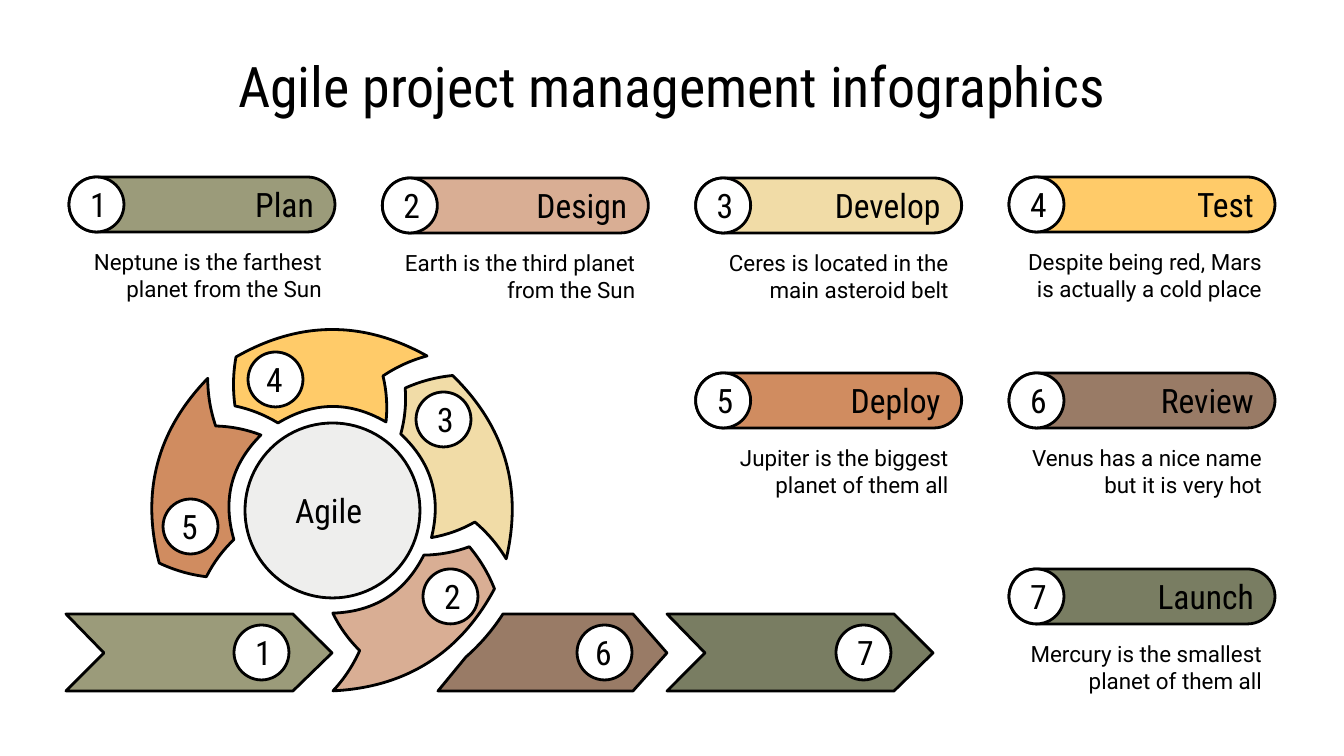
from math import cos, hypot, radians, sin

from lxml import etree
from pptx import Presentation
from pptx.dml.color import RGBColor
from pptx.enum.shapes import MSO_SHAPE
from pptx.enum.text import MSO_ANCHOR, PP_ALIGN
from pptx.oxml.ns import qn
from pptx.util import Pt

OVAL, PILL = MSO_SHAPE.OVAL, MSO_SHAPE.ROUNDED_RECTANGLE
CENTER, RIGHT = PP_ALIGN.CENTER, PP_ALIGN.RIGHT
TOP, MIDDLE = MSO_ANCHOR.TOP, MSO_ANCHOR.MIDDLE
PX = 914400 / 134.4
HEAD_FONT, BODY_FONT = "Roboto Condensed", "Roboto"
BLACK, WHITE, GREY = "000000", "FFFFFF", "EEEEED"

TITLE = "Agile project management infographics"
HUB_TEXT = "Agile "

# name, description, colour, (column, row) of the card,
# left and top of the badge, left inset of the badge
STEPS = [
    ("Plan", "Neptune is the farthest planet from the Sun", "9B9B7A", (0, 0), (234, 625), 13),
    ("Design", "Earth is the third planet from the Sun", "D9AE94", (1, 0), (423, 569), 13),
    ("Develop", "Ceres is located in the main asteroid belt", "F1DCA7", (2, 0), (416, 392), 13),
    ("Test", "Despite being red, Mars is actually a cold place", "FFCB69", (3, 0), (248, 352), 10),
    ("Deploy", "Jupiter is the biggest planet of them all", "D08C60", (2, 1), (163, 499), 10),
    ("Review", "Venus has a nice name but it is very hot", "997B66", (3, 1), (577, 625), 10),
    ("Launch", "Mercury is the smallest planet of them all", "797D62", (3, 2), (836, 625), 13),
]

# Outlines: x, y and the bulge of the edge that leaves the point
RING_ARROW = [(427, 356, 27), (236, 357, 2), (235, 406, -2),
              (278, 423, -16), (386, 422, 2), (383, 376, -2)]
RING_TURNS = {"Design": 148, "Develop": 74, "Test": 0, "Deploy": -75}
CHEVRON = [(66, 614, 0), (104, 653, 0), (66, 691, 0),
           (293, 691, 0), (332, 653, 0), (293, 614, 0)]
CUT_ARROW = [(503, 614, -2), (466, 657, 0), (438, 691, 0),
             (633, 691, 0), (667, 653, 0), (633, 614, 0)]
LAUNCH_SHIFT = 601

RING_X, RING_Y = 332, 510
HUB_X, HUB_Y, HUB_D = 245, 423, 175
FIRST_X, LAST_X, COLUMNS = 69, 1009, 4
CARD_DX = (LAST_X - FIRST_X) / (COLUMNS - 1)
CARD_Y, CARD_DY = 177, 196
CARD_DROP = {"Design": 1, "Develop": 1}
CARD_W, PILL_H = 266, 55
TEXT_DY, TEXT_H = 65, 67
INSET = 13

prs = Presentation()
prs.slide_width, prs.slide_height = round(1344 * PX), round(756 * PX)
slide = prs.slides.add_slide(prs.slide_layouts[6])


def color(value):
    return RGBColor.from_string(value)


def emu(*lengths):
    return [round(v * PX) for v in lengths]


def paint(s, fill):
    s.shadow.inherit = False
    s.fill.solid()
    s.fill.fore_color.rgb = color(fill)
    s.line.color.rgb = color(BLACK)
    s.line.width = Pt(1.5)


def write(s, text, size=18, font=HEAD_FONT, align=CENTER, anchor=MIDDLE, left=INSET):
    tf = s.text_frame
    margins = dict(zip(("margin_left", "margin_top", "margin_right", "margin_bottom"),
                       emu(left, INSET, INSET, INSET)))
    for name, value in {**margins, "word_wrap": True, "vertical_anchor": anchor}.items():
        setattr(tf, name, value)
    p = tf.paragraphs[0]
    p.alignment = align
    r = p.add_run()
    r.text = text
    for name, value in {"size": Pt(size), "name": font}.items():
        setattr(r.font, name, value)
    r.font.color.rgb = color(BLACK)


def add_label(x, y, w, h, text, **style):
    write(slide.shapes.add_textbox(*emu(x, y, w, h)), text, **style)


def add_solid(kind, x, y, w, h, fill, text, **style):
    s = slide.shapes.add_shape(kind, *emu(x, y, w, h))
    if kind == PILL:
        s.adjustments[0] = 0.5
    paint(s, fill)
    write(s, text, **style)


def add_badge(x, y, number, left=INSET):
    add_solid(OVAL, x, y, PILL_H, PILL_H, WHITE, str(number), left=left)


def rotate(outline, degrees):
    """Turn an outline clockwise about the middle of the ring."""
    c, n = cos(radians(degrees)), sin(radians(degrees))
    return [(RING_X + (x - RING_X) * c - (y - RING_Y) * n,
             RING_Y + (x - RING_X) * n + (y - RING_Y) * c, bulge)
            for x, y, bulge in outline]


def bend(start, middle, end):
    """Turn two line segments into one curve through their joint."""
    a, m, b = [(int(e[0].get("x")), int(e[0].get("y"))) for e in (start, middle, end)]
    controls = [[round((4 * v - w) / 3) for v, w in zip(m, far)] for far in (b, a)]
    curve = etree.Element(qn("a:cubicBezTo"))
    for x, y in (*controls, b):
        etree.SubElement(curve, qn("a:pt"), x=str(x), y=str(y))
    middle.getparent().replace(middle, curve)
    end.getparent().remove(end)


def add_outline(outline, fill):
    """Draw a closed outline whose edges bulge by the given height."""
    points, curves = [emu(*outline[0][:2])], []
    for (x, y, bulge), (x2, y2, _) in zip(outline, outline[1:] + outline[:1]):
        if bulge:
            dx, dy = x2 - x, y2 - y
            rise = bulge / hypot(dx, dy)
            curves.append(len(points))
            points.append(emu((x + x2) / 2 - dy * rise, (y + y2) / 2 + dx * rise))
        points.append(emu(x2, y2))
    if not outline[-1][2]:
        points.pop()
    builder = slide.shapes.build_freeform(*points[0], scale=1.0)
    builder.add_line_segments(points[1:], close=True)
    s = builder.convert_to_shape()
    paint(s, fill)
    segments = list(next(s.element.iter(qn("a:path"))))
    for i in reversed(curves):
        bend(*segments[i - 1:i + 2])


add_label(67, 39, 1210, 85, TITLE, size=30, anchor=TOP)

outlines = {name: rotate(RING_ARROW, turn) for name, turn in RING_TURNS.items()}
outlines["Plan"] = CHEVRON
outlines["Review"] = CUT_ARROW
outlines["Launch"] = [(x + LAUNCH_SHIFT, y, bulge) for x, y, bulge in CHEVRON]
fills = {step[0]: step[2] for step in STEPS}
for name, outline in outlines.items():
    add_outline(outline, fills[name])

add_solid(OVAL, HUB_X, HUB_Y, HUB_D, HUB_D, GREY, HUB_TEXT)

for number, step in enumerate(STEPS, 1):
    add_badge(*step[4], number, left=step[5])

for number, (name, text, fill, (col, row), *_) in reversed(list(enumerate(STEPS, 1))):
    x = FIRST_X + col * CARD_DX
    y = CARD_Y + row * CARD_DY + CARD_DROP.get(name, 0)
    add_label(x, y + TEXT_DY, CARD_W, TEXT_H, text, size=12, font=BODY_FONT, align=RIGHT)
    add_solid(PILL, x, y, CARD_W, PILL_H, fill, name, align=RIGHT)
    add_badge(x, y, number)

prs.save("out.pptx")
